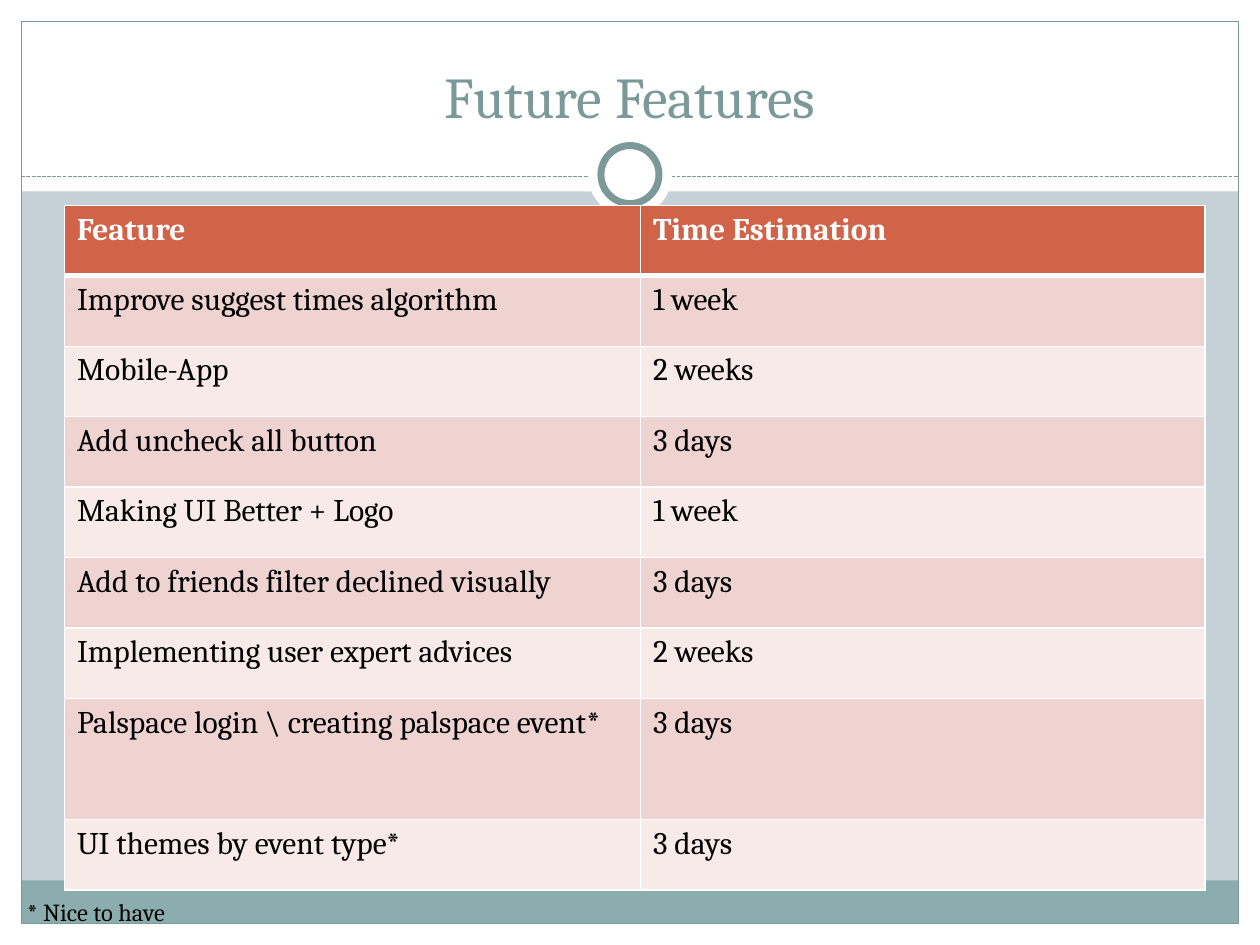
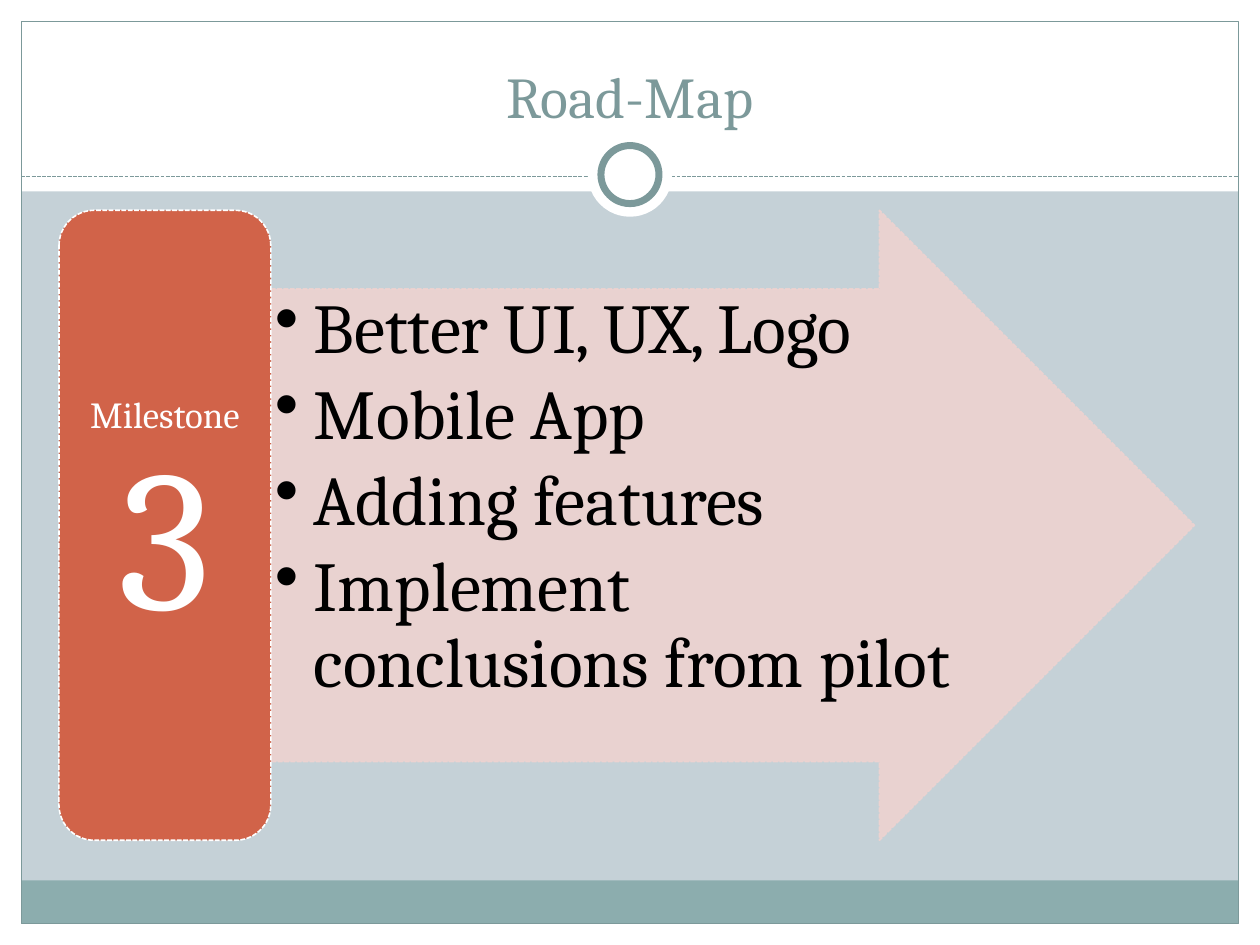
from lxml.etree import SubElement
from pptx import Presentation
from pptx.dml.color import RGBColor
from pptx.enum.dml import MSO_LINE
from pptx.enum.shapes import MSO_CONNECTOR, MSO_SHAPE
from pptx.enum.text import MSO_ANCHOR, PP_ALIGN
from pptx.oxml.ns import qn
from pptx.util import Cm, Pt

# Shared look
FONT = "Cambria"
WHITE = RGBColor(0xFF, 0xFF, 0xFF)
BLACK = RGBColor(0x00, 0x00, 0x00)
BACKDROP = RGBColor(0xC5, 0xD1, 0xD7)
FOOTER = RGBColor(0x8C, 0xAD, 0xAE)
SLATE = RGBColor(0x7C, 0x99, 0x9A)
RUST = RGBColor(0xD1, 0x63, 0x49)
ROSE = RGBColor(0xEE, 0xD3, 0xD0)
PALE_ROSE = RGBColor(0xF7, 0xEA, 0xE9)

WIDTH, HEIGHT, MARGIN = 25.4, 19.05, 0.43
HEADER_HEIGHT = 3.86
RULE_Y = 3.56
RING_Y = 3.52

# Content
FEATURES = [
    ("Feature", "Time Estimation"),
    ("Improve suggest times algorithm ", "1 week"),
    ("Mobile-App", "2 weeks"),
    ("Add uncheck all button", "3 days"),
    ("Making UI Better + Logo", "1 week"),
    ("Add to friends filter declined visually", "3 days"),
    ("Implementing user expert advices", "2 weeks"),
    ("Palspace login \\ creating palspace event*", "3 days"),
    ("UI themes by event type*", "3 days"),
]
TALL_ROW = 7
GOALS = [
    "Better UI, UX, Logo",
    "Mobile App",
    "Adding features",
    "Implement conclusions from pilot",
]


def style_font(font, size, color, bold=False):
    font.name = FONT
    font.size = Pt(size)
    font.color.rgb = color
    font.bold = bold


def add_box(slide, kind, left, top, width, height, fill=None, line=None,
            weight=0.75, dash=None):
    box = slide.shapes.add_shape(kind, Cm(left), Cm(top), Cm(width), Cm(height))
    box.shadow.inherit = False
    if fill is None:
        box.fill.background()
    else:
        box.fill.solid()
        box.fill.fore_color.rgb = fill
    if line is None:
        box.line.fill.background()
    else:
        box.line.color.rgb = line
        box.line.width = Pt(weight)
        box.line.dash_style = dash
    return box


def add_disc(slide, diameter, **style):
    """A circle centred on the header rule."""
    return add_box(slide, MSO_SHAPE.OVAL, (WIDTH - diameter) / 2,
                   RING_Y - diameter / 2, diameter, diameter, **style)


def add_text(slide, left, top, width, height, lines, size, color):
    frame = slide.shapes.add_textbox(
        Cm(left), Cm(top), Cm(width), Cm(height)).text_frame
    frame.word_wrap = True
    frame.text = "\n".join(lines)
    for paragraph in frame.paragraphs:
        style_font(paragraph.font, size, color)
    return frame


def set_margins(frame, side, end):
    frame.margin_left = frame.margin_right = Cm(side)
    frame.margin_top = frame.margin_bottom = Cm(end)


def add_bullet(paragraph, indent):
    properties = paragraph._p.get_or_add_pPr()
    properties.set("marL", str(Cm(indent)))
    properties.set("indent", str(-Cm(indent)))
    SubElement(properties, qn("a:buChar")).set("char", "•")


def set_opacity(shape, percent):
    for color in shape._element.spPr.iter(qn("a:srgbClr")):
        SubElement(color, qn("a:alpha")).set("val", str(percent * 1000))


def set_cell_borders(cell, top, bottom):
    properties = cell._tc.get_or_add_tcPr()
    for side, weight in (("L", 1), ("R", 1), ("T", top), ("B", bottom)):
        border = SubElement(properties, qn(f"a:ln{side}"), w=str(Pt(weight)))
        fill = SubElement(border, qn("a:solidFill"))
        SubElement(fill, qn("a:srgbClr")).set("val", str(WHITE))


def add_framed_slide(presentation, title):
    slide = presentation.slides.add_slide(presentation.slide_layouts[6])
    slide.background.fill.solid()
    slide.background.fill.fore_color.rgb = BACKDROP
    inner_width, inner_height = WIDTH - 2 * MARGIN, HEIGHT - 2 * MARGIN

    # White margins and header, then the footer band
    for left, top, width, height, fill in (
        (0, HEIGHT - MARGIN, WIDTH, MARGIN, WHITE),
        (0, 0, WIDTH, HEADER_HEIGHT, WHITE),
        (0, 0, MARGIN, HEIGHT, WHITE),
        (WIDTH - MARGIN, 0, MARGIN, HEIGHT, WHITE),
        (MARGIN, 17.75, inner_width, 0.87, FOOTER),
    ):
        add_box(slide, MSO_SHAPE.RECTANGLE, left, top, width, height, fill)
    add_box(slide, MSO_SHAPE.RECTANGLE, MARGIN, MARGIN, inner_width,
            inner_height, line=SLATE)

    # Dashed rule with a ring in its middle
    rule = slide.shapes.add_connector(
        MSO_CONNECTOR.STRAIGHT, Cm(MARGIN), Cm(RULE_Y),
        Cm(WIDTH - MARGIN), Cm(RULE_Y))
    rule.line.color.rgb = SLATE
    rule.line.width = Pt(0.75)
    rule.line.dash_style = MSO_LINE.SQUARE_DOT
    SubElement(rule._element.spPr, qn("a:effectLst"))
    add_disc(slide, 1.7, fill=WHITE)
    add_disc(slide, 1.17, fill=WHITE, line=SLATE, weight=4)

    heading = add_text(slide, 0.84, 0.64, 23.72, 2.11, [title], 33, SLATE)
    heading.vertical_anchor = MSO_ANCHOR.BOTTOM
    heading.paragraphs[0].alignment = PP_ALIGN.CENTER
    return slide


def add_feature_table(slide):
    column_widths = (11.61, 11.38)
    row_heights = [2.44 if row == TALL_ROW else 1.42
                   for row in range(len(FEATURES))]
    table = slide.shapes.add_table(
        len(FEATURES), len(column_widths), Cm(1.3), Cm(4.14),
        Cm(sum(column_widths)), Cm(sum(row_heights))).table
    for column, width in zip(table.columns, column_widths):
        column.width = Cm(width)
    for row, texts in enumerate(FEATURES):
        table.rows[row].height = Cm(row_heights[row])
        header = row == 0
        band = RUST if header else (PALE_ROSE, ROSE)[row % 2]
        for column, text in enumerate(texts):
            cell = table.cell(row, column)
            cell.text = text
            style_font(cell.text_frame.paragraphs[0].font, 18,
                       WHITE if header else BLACK, header)
            set_cell_borders(cell, top=3 if row == 1 else 1,
                             bottom=3 if header else 1)
            cell.fill.solid()
            cell.fill.fore_color.rgb = band


def add_milestone(slide):
    top, height = 4.24, 12.7
    label_left, label_width = 1.19, 4.27
    arrow_left = label_left + label_width

    # Arrow with its goals
    arrow = add_box(slide, MSO_SHAPE.RIGHT_ARROW, arrow_left, top, 18.62,
                    height, ROSE, ROSE, 0.9, MSO_LINE.SQUARE_DOT)
    arrow.adjustments[0] = 0.75
    arrow.adjustments[1] = 0.5
    set_opacity(arrow, 90)
    goals = add_text(slide, arrow_left, top + height / 8, 13.87,
                     height * 0.75, GOALS, 40, BLACK)
    set_margins(goals, 0.08, 0.08)
    for paragraph in goals.paragraphs:
        paragraph.line_spacing = 0.9
        paragraph.space_after = Pt(6)
        add_bullet(paragraph, 0.79)

    # Milestone label
    label = add_box(slide, MSO_SHAPE.ROUNDED_RECTANGLE, label_left, top,
                    label_width, height, RUST, WHITE, 0.9,
                    MSO_LINE.SQUARE_DOT).text_frame
    label.word_wrap = True
    label.vertical_anchor = MSO_ANCHOR.MIDDLE
    set_margins(label, 0.23, 0.1)
    paragraph = label.paragraphs[0]
    paragraph.alignment = PP_ALIGN.CENTER
    paragraph.line_spacing = 0.9
    for text, size in (("Milestone ", 21), ("3", 115)):
        run = paragraph.add_run()
        run.text = text
        style_font(run.font, size, WHITE)


def main():
    presentation = Presentation()
    presentation.slide_width = Cm(WIDTH)
    presentation.slide_height = Cm(HEIGHT)

    features = add_framed_slide(presentation, "Future Features")
    add_feature_table(features)
    add_text(features, 0.3, 17.96, 8.61, 0.86, ["* Nice to have"], 14, BLACK)

    roadmap = add_framed_slide(presentation, "Road-Map")
    add_milestone(roadmap)

    presentation.save("out.pptx")


main()
